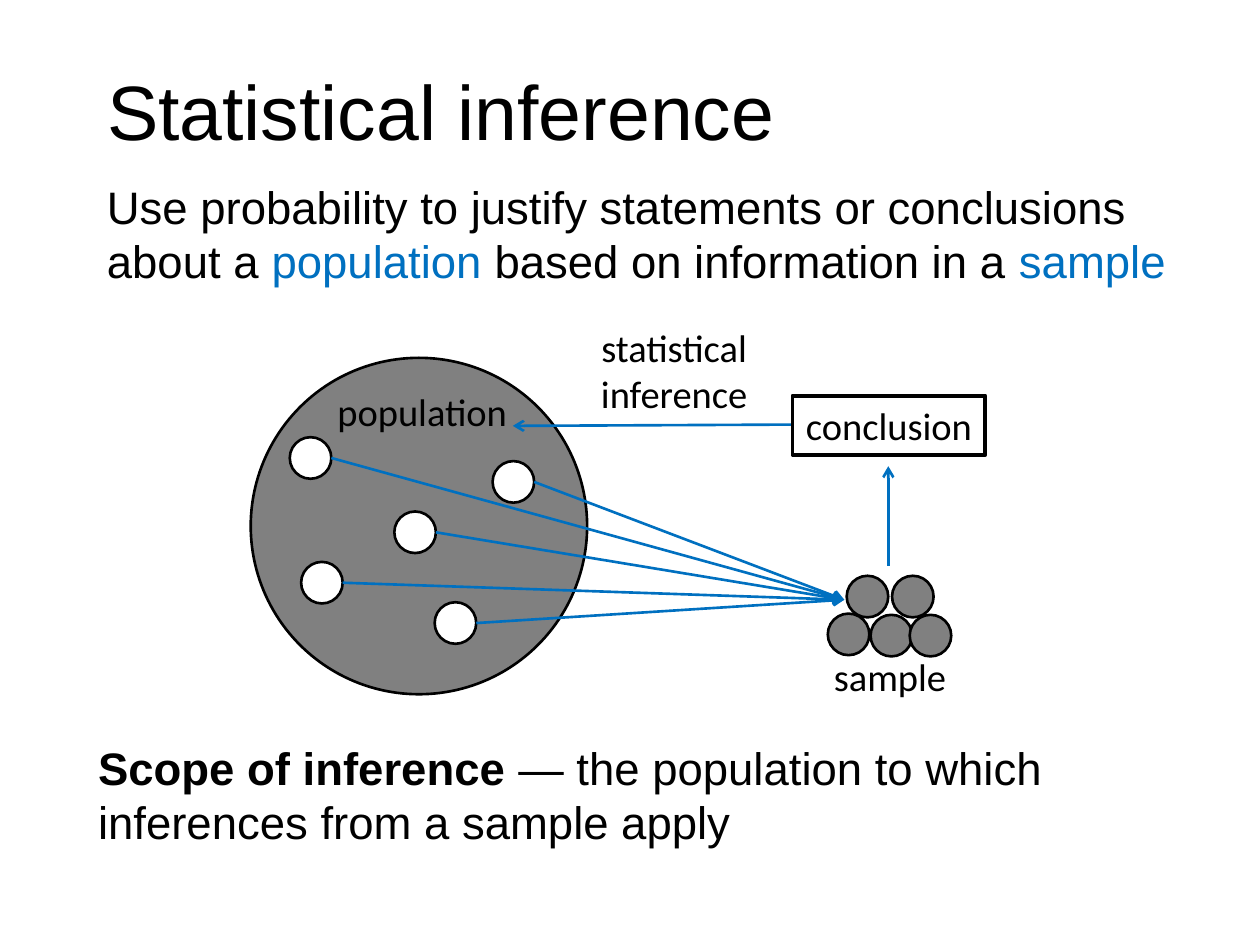
import pptx
import pptx.util
import pptx.dml.color
import pptx.enum.shapes
import pptx.enum.text
import pptx.oxml.ns
import lxml.etree

Inches = pptx.util.Inches
Pt = pptx.util.Pt
RGBColor = pptx.dml.color.RGBColor
Shape = pptx.enum.shapes.MSO_SHAPE
Align = pptx.enum.text.PP_ALIGN

BLACK = RGBColor(0, 0, 0)
WHITE = RGBColor(0xFF, 0xFF, 0xFF)
GRAY = RGBColor(0x80, 0x80, 0x80)
BLUE = RGBColor(0x00, 0x70, 0xC0)

DOT = 0.33
SAMPLE_POINT = (6.7, 4.76)
MEMBERS = [(3.45, 4.78), (2.3, 3.47), (2.39, 4.46), (3.13, 4.06), (3.91, 3.66)]
SAMPLED = [(6.57, 4.87), (6.72, 4.57), (6.91, 4.88), (7.22, 4.88), (7.08, 4.57)]


def style_span(span, size, font, color=BLACK, bold=False):
    """Format one run of text."""
    span.font.size = Pt(size)
    span.font.name = font
    span.font.color.rgb = color
    span.font.bold = bold


def add_title(page, text):
    """Place and format the title placeholder."""
    title = page.shapes.title
    title.left, title.top = Inches(0.75), Inches(0.29)
    title.width, title.height = Inches(8.5), Inches(1.25)
    frame = title.text_frame
    frame.text = text
    frame.vertical_anchor = pptx.enum.text.MSO_ANCHOR.MIDDLE
    para = frame.paragraphs[0]
    para.alignment = Align.LEFT
    para.line_spacing = 0.9
    style_span(para.runs[0], 44, "Arial")


def add_statement(page, left, top, width, parts):
    """Add a wrapped sentence from (text, color, bold) parts."""
    box = page.shapes.add_textbox(Inches(left), Inches(top), Inches(width), Inches(0.98))
    box.text_frame.word_wrap = True
    para = box.text_frame.paragraphs[0]
    for text, color, bold in parts:
        span = para.add_run()
        span.text = text
        style_span(span, 26, "Arial", color, bold)


def write_label(box, text, alignment):
    """Write an unwrapped diagram label into a shape."""
    frame = box.text_frame
    frame.text = text
    frame.word_wrap = False
    frame.vertical_anchor = pptx.enum.text.MSO_ANCHOR.TOP
    for para in frame.paragraphs:
        para.alignment = alignment
        style_span(para.runs[0], 22, "Calibri")


def add_label(page, left, top, width, height, text, alignment=Align.LEFT):
    """Add a free-standing diagram label."""
    box = page.shapes.add_textbox(Inches(left), Inches(top), Inches(width), Inches(height))
    write_label(box, text, alignment)


def add_outlined(page, kind, left, top, width, height, fill=None, weight=1.5):
    """Add a black-outlined preset shape, unfilled when fill is None."""
    shape = page.shapes.add_shape(kind, Inches(left), Inches(top), Inches(width), Inches(height))
    shape.shadow.inherit = False
    if fill is None:
        shape.fill.background()
    else:
        shape.fill.solid()
        shape.fill.fore_color.rgb = fill
    shape.line.color.rgb = BLACK
    shape.line.width = Pt(weight)
    return shape


def add_circle(page, left, top, size, fill):
    """Add an outlined circle."""
    return add_outlined(page, Shape.OVAL, left, top, size, size, fill)


def add_arrow(page, start, end):
    """Add a blue line with an open arrowhead at its end."""
    arrow = page.shapes.add_connector(
        pptx.enum.shapes.MSO_CONNECTOR.STRAIGHT,
        *[Inches(value) for value in (*start, *end)])
    arrow.line.color.rgb = BLUE
    arrow.line.width = Pt(1.5)
    qn = pptx.oxml.ns.qn
    lxml.etree.SubElement(arrow.line._get_or_add_ln(), qn("a:tailEnd"), type="arrow")
    lxml.etree.SubElement(arrow._element.spPr, qn("a:effectLst"))


def add_population(page):
    """Draw the population and its selected members."""
    add_circle(page, 1.99, 2.84, 2.67, GRAY)
    add_label(page, 2.58, 3.03, 1.56, 0.47, "population")
    for left, top in MEMBERS:
        add_circle(page, left, top, DOT, WHITE)
    for left, top in MEMBERS:
        add_arrow(page, (left + DOT, top + DOT / 2), SAMPLE_POINT)


def add_conclusion(page):
    """Draw the conclusion box and the arrows around it."""
    add_arrow(page, (6.29, 3.37), (4.07, 3.38))
    add_arrow(page, (7.05, 4.49), (7.05, 3.7))
    box = add_outlined(page, Shape.RECTANGLE, 6.29, 3.14, 1.53, 0.47, weight=2.25)
    write_label(box, "conclusion", Align.CENTER)
    add_label(page, 4.66, 2.52, 1.38, 0.84, "statistical\ninference", Align.CENTER)


def add_sample(page):
    """Draw the sample and its label."""
    add_label(page, 6.52, 5.13, 1.1, 0.47, "sample")
    for left, top in SAMPLED:
        add_circle(page, left, top, DOT, GRAY)


def main():
    """Build and save the slide."""
    deck = pptx.Presentation()
    deck.slide_width, deck.slide_height = Inches(10), Inches(7.5)
    page = deck.slides.add_slide(deck.slide_layouts.get_by_name("Title Only"))
    add_title(page, "Statistical inference")
    add_statement(page, 0.75, 1.37, 8.71, [
        ("Use probability to justify statements or conclusions about a ", BLACK, False),
        ("population", BLUE, False),
        (" based on information in a ", BLACK, False),
        ("sample", BLUE, False)])
    add_statement(page, 0.68, 5.82, 8.57, [
        ("Scope of inference", BLACK, True),
        (" \u2014 the population to which inferences from a sample apply", BLACK, False)])
    add_population(page)
    add_conclusion(page)
    add_sample(page)
    deck.save("out.pptx")


main()
